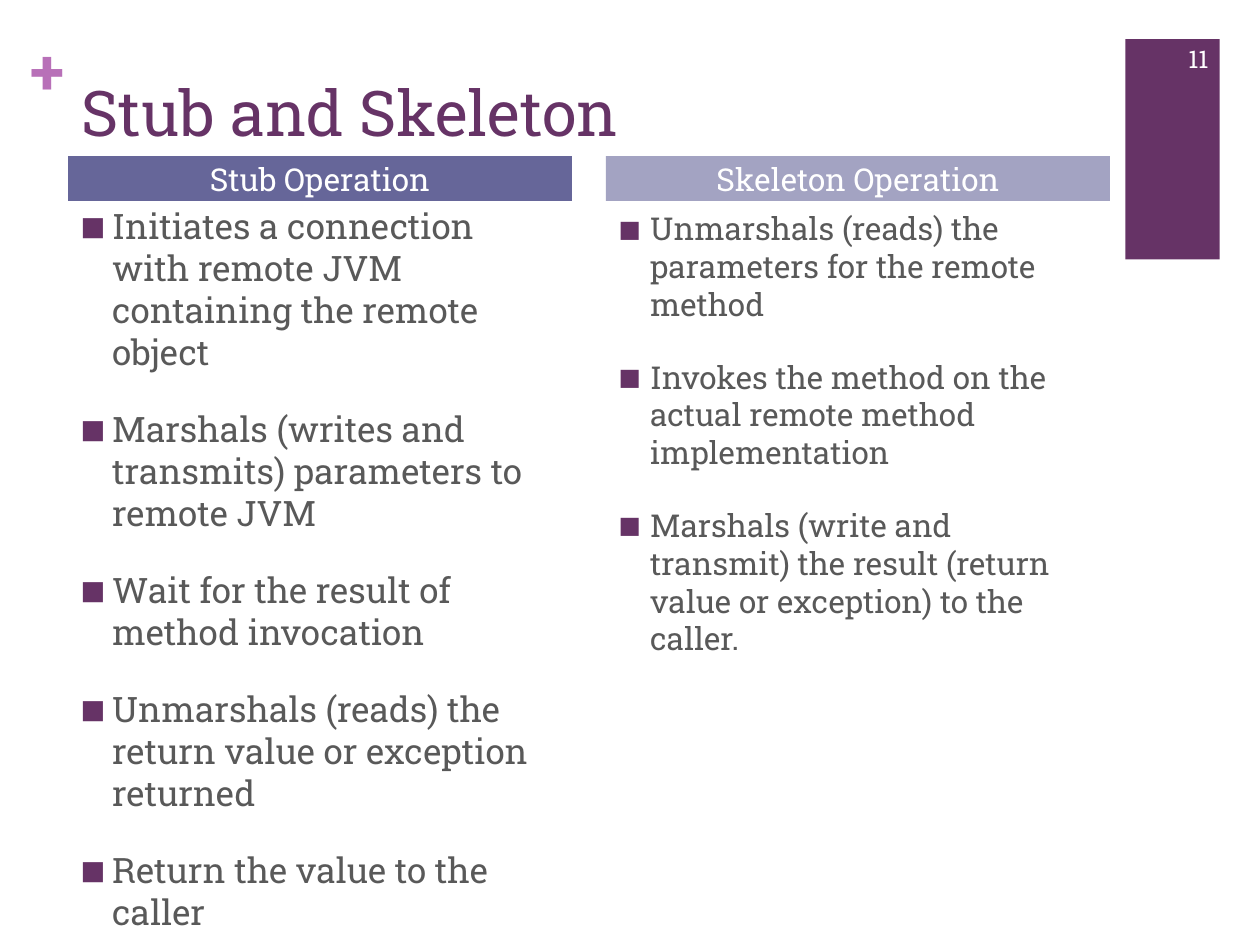
import pptx
import pptx.dml.color
import pptx.enum.shapes
import pptx.enum.text
import pptx.oxml
import pptx.oxml.ns
import pptx.util

Pt = pptx.util.Pt
RGBColor = pptx.dml.color.RGBColor
ALIGN = pptx.enum.text.PP_ALIGN
ANCHOR = pptx.enum.text.MSO_ANCHOR

FONT = "Roboto Slab"
PLUM = RGBColor(0x66, 0x33, 0x66)
ORCHID = RGBColor(0xB8, 0x70, 0xB8)
GRAY = RGBColor(0x59, 0x59, 0x59)
INDIGO = RGBColor(0x66, 0x66, 0x99)
LAVENDER = RGBColor(0xA3, 0xA3, 0xC2)
WHITE = RGBColor(0xFF, 0xFF, 0xFF)


def write_text(shape, lines, size, color, align=ALIGN.LEFT, anchor=ANCHOR.TOP,
               bold=False, margins=(7.2, 3.6), bulleted=False):
    frame = shape.text_frame
    frame.word_wrap = True
    frame.auto_size = pptx.enum.text.MSO_AUTO_SIZE.NONE
    frame.vertical_anchor = anchor
    frame.margin_left = frame.margin_right = Pt(margins[0])
    frame.margin_top = frame.margin_bottom = Pt(margins[1])
    for index, line in enumerate(lines):
        paragraph = frame.paragraphs[0] if index == 0 else frame.add_paragraph()
        paragraph.alignment = align
        paragraph.space_before = Pt(20 if bulleted else 0)
        run = paragraph.add_run()
        run.text = line
        run.font.name = FONT
        run.font.size = Pt(size)
        run.font.bold = bold
        run.font.color.rgb = color
        if bulleted:
            properties = paragraph._p.get_or_add_pPr()
            properties.set("marL", str(Pt(18)))
            properties.set("indent", str(-Pt(18)))
            namespace = pptx.oxml.ns.nsdecls("a")
            for element in (
                f'<a:buClr {namespace}><a:srgbClr val="{PLUM}"/></a:buClr>',
                f'<a:buSzPct {namespace} val="75000"/>',
                f'<a:buFont {namespace} typeface="{FONT}"/>',
                f'<a:buChar {namespace} char="■"/>',
            ):
                properties.append(pptx.oxml.parse_xml(element))


def add_block(slide, left, top, width, height, color):
    block = slide.shapes.add_shape(
        pptx.enum.shapes.MSO_SHAPE.RECTANGLE, Pt(left), Pt(top), Pt(width), Pt(height))
    block.shadow.inherit = False
    block.fill.solid()
    block.fill.fore_color.rgb = color
    block.line.fill.background()
    return block


presentation = pptx.Presentation()
presentation.slide_width = Pt(720)
presentation.slide_height = Pt(540)
slide = presentation.slides.add_slide(presentation.slide_layouts[3])

add_block(slide, 643, 22.3, 54, 126, PLUM)

plus = slide.shapes.add_textbox(Pt(17.3), Pt(18), Pt(20.2), Pt(43.2))
write_text(plus, ["+"], 36, ORCHID, bold=True, margins=(0, 0))

title = slide.shapes.title
title.left, title.top, title.width, title.height = Pt(39.6), Pt(38.2), Pt(594.7), Pt(87.8)
write_text(title, ["Stub and Skeleton"], 36, PLUM)

columns = [
    ("Stub Operation", INDIGO, 38.9, 113, 359.3, 20, [
        "Initiates a connection with remote JVM containing the remote object",
        "Marshals (writes and transmits) parameters to remote JVM",
        "Wait for the result of method invocation",
        "Unmarshals (reads) the return value or exception returned",
        "Return the value to the caller",
    ]),
    ("Skeleton Operation", LAVENDER, 346.3, 115.9, 329, 18, [
        "Unmarshals (reads) the parameters for the remote method",
        "Invokes the method on the actual remote method implementation",
        "Marshals (write and transmit) the result (return value or exception) to the caller.",
    ]),
]
for number, (heading, color, left, top, height, size, operations) in enumerate(columns, 1):
    body = slide.placeholders[number]
    body.left, body.top, body.width, body.height = Pt(left), Pt(top), Pt(288), Pt(height)
    write_text(body, operations, size, GRAY, bulleted=True)
    header = add_block(slide, left, 89.3, 288, 25.5, color)
    write_text(header, [heading], 18, WHITE, align=ALIGN.CENTER,
               anchor=ANCHOR.MIDDLE, margins=(7.2, 0))

page_number = slide.shapes.add_textbox(Pt(653.8), Pt(19.4), Pt(43.9), Pt(28.8))
write_text(page_number, ["11"], 14, WHITE, align=ALIGN.RIGHT, anchor=ANCHOR.MIDDLE)

presentation.save("out.pptx")
